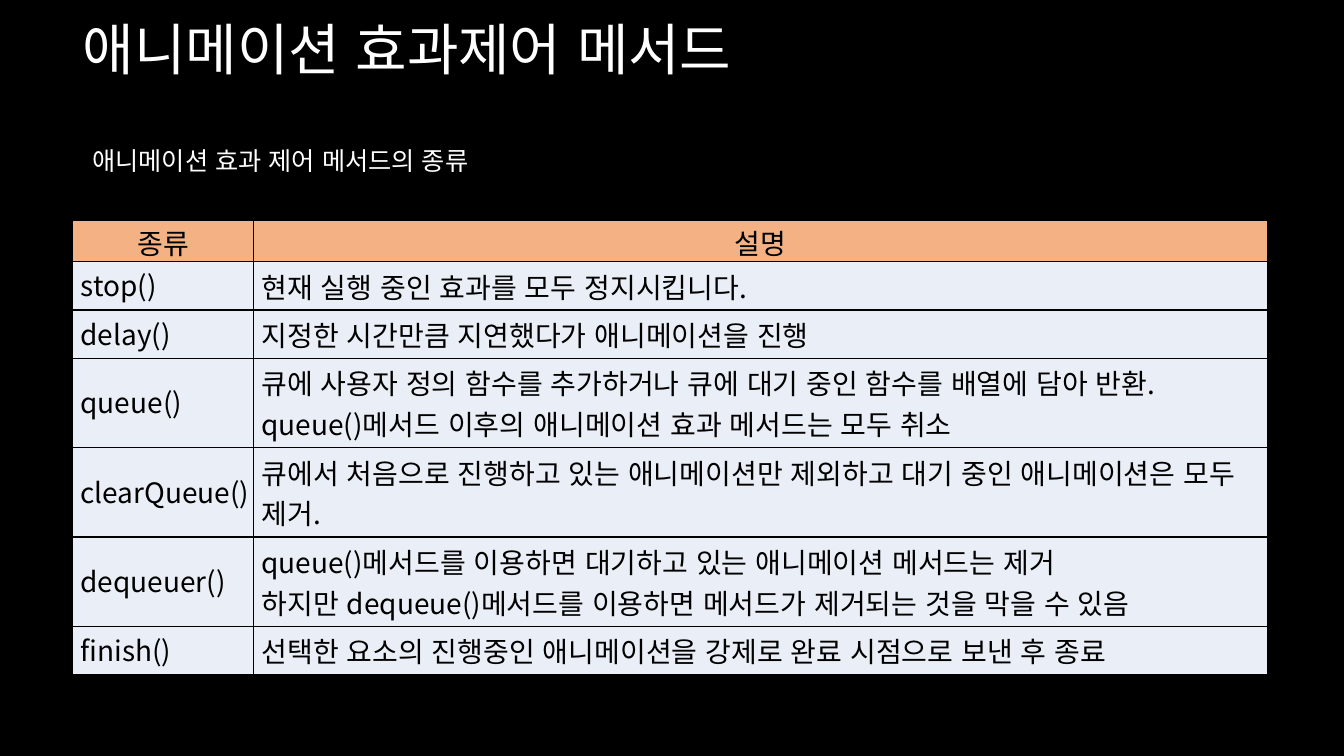
import dataclasses
import typing

import pptx
import pptx.dml.color
import pptx.enum.lang
import pptx.enum.text
import pptx.oxml
import pptx.oxml.ns
import pptx.util

Cm = pptx.util.Cm
RGBColor = pptx.dml.color.RGBColor
ALIGN = pptx.enum.text.PP_ALIGN
ANCHOR = pptx.enum.text.MSO_ANCHOR
AUTO = pptx.enum.text.MSO_AUTO_SIZE

BLACK = RGBColor(0x00, 0x00, 0x00)
WHITE = RGBColor(0xFF, 0xFF, 0xFF)
ORANGE = RGBColor(0xF4, 0xB1, 0x83)
PALE_BLUE = RGBColor(0xEA, 0xEF, 0xF7)
KOREAN = "Noto Sans CJK KR"
LATIN = "Arial"

HEADER_HEIGHT = 1.03
ONE_LINE_HEIGHT = 1.22
TWO_LINE_HEIGHT = 2.25


@dataclasses.dataclass(frozen=True)
class Method:
    name: str
    description: str
    height: float = ONE_LINE_HEIGHT


METHODS = [
    Method("stop()", "현재 실행 중인 효과를 모두 정지시킵니다."),
    Method("delay()", "지정한 시간만큼 지연했다가 애니메이션을 진행"),
    Method("queue()", "큐에 사용자 정의 함수를 추가하거나 큐에 대기 중인 함수를 배열에 담아 반환.\n"
                      "queue()메서드 이후의 애니메이션 효과 메서드는 모두 취소", TWO_LINE_HEIGHT),
    Method("clearQueue()", "큐에서 처음으로 진행하고 있는 애니메이션만 제외하고 "
                           "대기 중인 애니메이션은 모두 제거.", TWO_LINE_HEIGHT),
    Method("dequeuer()", "queue()메서드를 이용하면 대기하고 있는 애니메이션 메서드는 제거\n"
                         "하지만 dequeue()메서드를 이용하면 메서드가 제거되는 것을 막을 수 있음",
           TWO_LINE_HEIGHT),
    Method("finish()", "선택한 요소의 진행중인 애니메이션을 강제로 완료 시점으로 보낸 후 종료"),
]


def write_text(tf: typing.Any, text: str, *, size: float, color: RGBColor,
               font: str = KOREAN, align: ALIGN = ALIGN.LEFT,
               line_spacing: float | None = None) -> None:
    """Write each line of text as a formatted paragraph."""
    for i, line in enumerate(text.split("\n")):
        p = tf.add_paragraph() if i else tf.paragraphs[0]
        p.alignment = align
        p.line_spacing = line_spacing
        r = p.add_run()
        r.text = line
        r.font.size = pptx.util.Pt(size)
        r.font.name = font
        r.font.color.rgb = color
        r.font.language_id = pptx.enum.lang.MSO_LANGUAGE_ID.KOREAN
        ea = pptx.oxml.parse_xml(
            f'<a:ea {pptx.oxml.ns.nsdecls("a")} typeface="{KOREAN}"/>')
        r.font._element.find(pptx.oxml.ns.qn("a:latin")).addnext(ea)


def place(sp: typing.Any, left: float, top: float, width: float, height: float) -> None:
    sp.left, sp.top, sp.width, sp.height = map(Cm, (left, top, width, height))


def add_borders(cell: typing.Any) -> None:
    """Draw a 1 pt black line on every side of a cell."""
    tc_pr = cell._tc.get_or_add_tcPr()
    for i, side in enumerate("LRTB"):
        tc_pr.insert(i, pptx.oxml.parse_xml(
            f'<a:ln{side} {pptx.oxml.ns.nsdecls("a")} w="12700">'
            f'<a:solidFill><a:srgbClr val="{BLACK}"/></a:solidFill></a:ln{side}>'))


def fill_cell(cell: typing.Any, text: str, *, fill: RGBColor, align: ALIGN,
              margins: tuple[float, float, float, float]) -> None:
    cell.fill.solid()
    cell.fill.fore_color.rgb = fill
    cell.vertical_anchor = ANCHOR.MIDDLE
    (cell.margin_left, cell.margin_top,
     cell.margin_right, cell.margin_bottom) = map(Cm, margins)
    write_text(cell.text_frame, text, size=20, color=BLACK, align=align)
    add_borders(cell)


def add_method_table(s: typing.Any) -> None:
    heights = [HEADER_HEIGHT, *(method.height for method in METHODS)]
    gf = s.shapes.add_table(len(heights), 2, Cm(1.83), Cm(5.56), Cm(30.12), Cm(sum(heights)))
    table = gf.table
    for column, width in zip(table.columns, (4.56, 25.56)):
        column.width = Cm(width)
    for row, height in zip(table.rows, heights):
        row.height = Cm(height)

    for c, heading in enumerate(("종류", "설명")):
        fill_cell(table.cell(0, c), heading, fill=ORANGE, align=ALIGN.CENTER,
                  margins=(0.03, 0.03, 0.03, 0))
    for i, method in enumerate(METHODS, start=1):
        for c, (text, top) in enumerate(((method.name, 0.03), (method.description, 0.1))):
            fill_cell(table.cell(i, c), text, fill=PALE_BLUE, align=ALIGN.LEFT,
                      margins=(0.2, top, 0.03, 0.1))


# Slide and background
prs = pptx.Presentation()
prs.slide_width, prs.slide_height = Cm(33.87), Cm(19.05)
s = prs.slides.add_slide(prs.slide_layouts[5])
s.background.fill.solid()
s.background.fill.fore_color.rgb = BLACK

# Title
title = s.shapes.title
place(title, 1.83, 0.23, 22.91, 1.96)
title.text_frame.auto_size = AUTO.NONE
title.text_frame.vertical_anchor = ANCHOR.TOP
write_text(title.text_frame, "애니메이션 효과제어 메서드", size=40, color=WHITE, font=LATIN)

# Subtitle
subtitle = s.shapes.add_textbox(Cm(2.08), Cm(2.77), Cm(11.05), Cm(1.8))
subtitle.text_frame.word_wrap = False
write_text(subtitle.text_frame, "애니메이션 효과 제어 메서드의 종류", size=18,
           color=WHITE, line_spacing=2.0)

# Table of methods
add_method_table(s)

prs.save("out.pptx")
